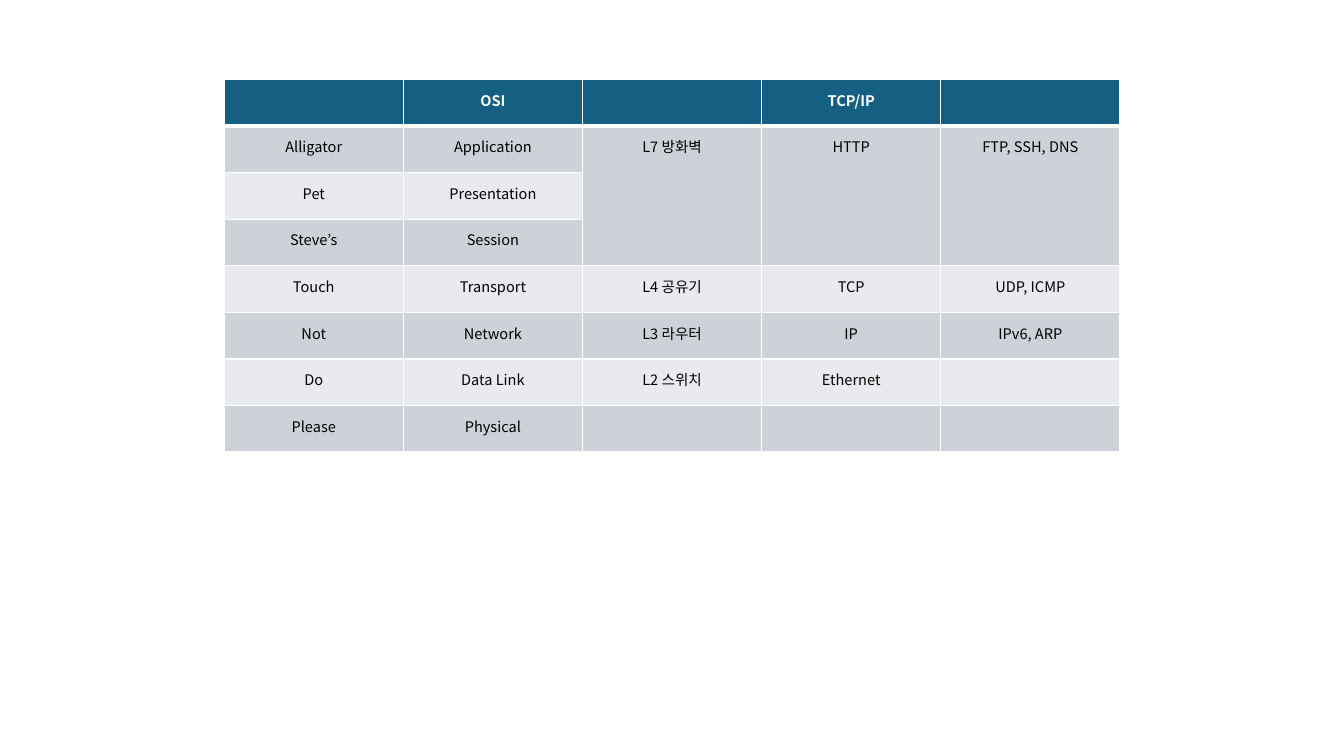
import pptx
import pptx.dml.color
import pptx.enum.text
import pptx.oxml.ns
import pptx.util
from lxml import etree

Cm = pptx.util.Cm
Pt = pptx.util.Pt
qn = pptx.oxml.ns.qn

COLORS = {
    "header": "156082",
    "odd_band": "CCD2D8",
    "even_band": "E8EAED",
    "grid": "FFFFFF",
    "header_text": "FFFFFF",
    "body_text": "000000",
}
FONT = "Noto Sans CJK KR"
RAISED_TEXT = "30000"
LAYERS = [
    ["", "OSI", "", "TCP/IP", ""],
    ["Alligator", "Application", "L7 방화벽", "HTTP", "FTP, SSH, DNS"],
    ["Pet", "Presentation", "", "", ""],
    ["Steve’s", "Session", "", "", ""],
    ["Touch", "Transport", "L4 공유기", "TCP", "UDP, ICMP"],
    ["Not", "Network", "L3 라우터", "IP", "IPv6, ARP"],
    ["Do", "Data Link", "L2 스위치", "Ethernet", ""],
    ["Please", "Physical", "", "", ""],
]
MERGED_ROWS = (1, 3)
MERGED_COLUMNS = (2, 3, 4)


def rgb(name):
    return pptx.dml.color.RGBColor.from_string(COLORS[name])


def add_borders(cell, widths):
    """Draw grid lines, with widths in points keyed by side (L, R, T, B)."""
    properties = cell._tc.get_or_add_tcPr()
    for side, width in widths.items():
        line = etree.SubElement(properties, qn(f"a:ln{side}"), w=str(Pt(width)))
        fill = etree.SubElement(line, qn("a:solidFill"))
        etree.SubElement(fill, qn("a:srgbClr"), val=COLORS["grid"])


def write_text(cell, text, is_header):
    paragraph = cell.text_frame.paragraphs[0]
    paragraph.alignment = pptx.enum.text.PP_ALIGN.CENTER
    font_format = {"name": FONT, "size": Pt(18), "bold": is_header}
    if not text:
        for attribute, value in font_format.items():
            setattr(paragraph.font, attribute, value)
        return
    run = paragraph.add_run()
    run.text = text
    for attribute, value in font_format.items():
        setattr(run.font, attribute, value)
    run.font.color.rgb = rgb("header_text" if is_header else "body_text")
    properties = run._r.get_or_add_rPr()
    properties.set("baseline", RAISED_TEXT)
    etree.SubElement(properties, qn("a:ea"), typeface=FONT)


def format_cell(cell, text, row):
    is_header = row == 0
    add_borders(cell, {"L": 1, "R": 1, "T": 3 if row == 1 else 1,
                       "B": 3 if is_header else 1})
    cell.fill.solid()
    band = "odd_band" if row % 2 else "even_band"
    cell.fill.fore_color.rgb = rgb("header" if is_header else band)
    write_text(cell, text, is_header)


def add_layer_table(slide, left, top, width, height):
    row_count, column_count = len(LAYERS), len(LAYERS[0])
    table = slide.shapes.add_table(
        row_count, column_count, left, top, width, height).table
    for column in table.columns:
        column.width = int(width / column_count)
    for row in table.rows:
        row.height = int(height / row_count)
    for row, texts in enumerate(LAYERS):
        for column, text in enumerate(texts):
            format_cell(table.cell(row, column), text, row)
    first, last = MERGED_ROWS
    for column in MERGED_COLUMNS:
        table.cell(first, column).merge(table.cell(last, column))


def main():
    presentation = pptx.Presentation()
    presentation.slide_width = Cm(33.87)
    presentation.slide_height = Cm(19.05)
    slide = presentation.slides.add_slide(presentation.slide_layouts[6])
    add_layer_table(slide, Cm(5.65), Cm(2), Cm(22.58), Cm(9.38))
    presentation.save("out.pptx")


if __name__ == "__main__":
    main()
